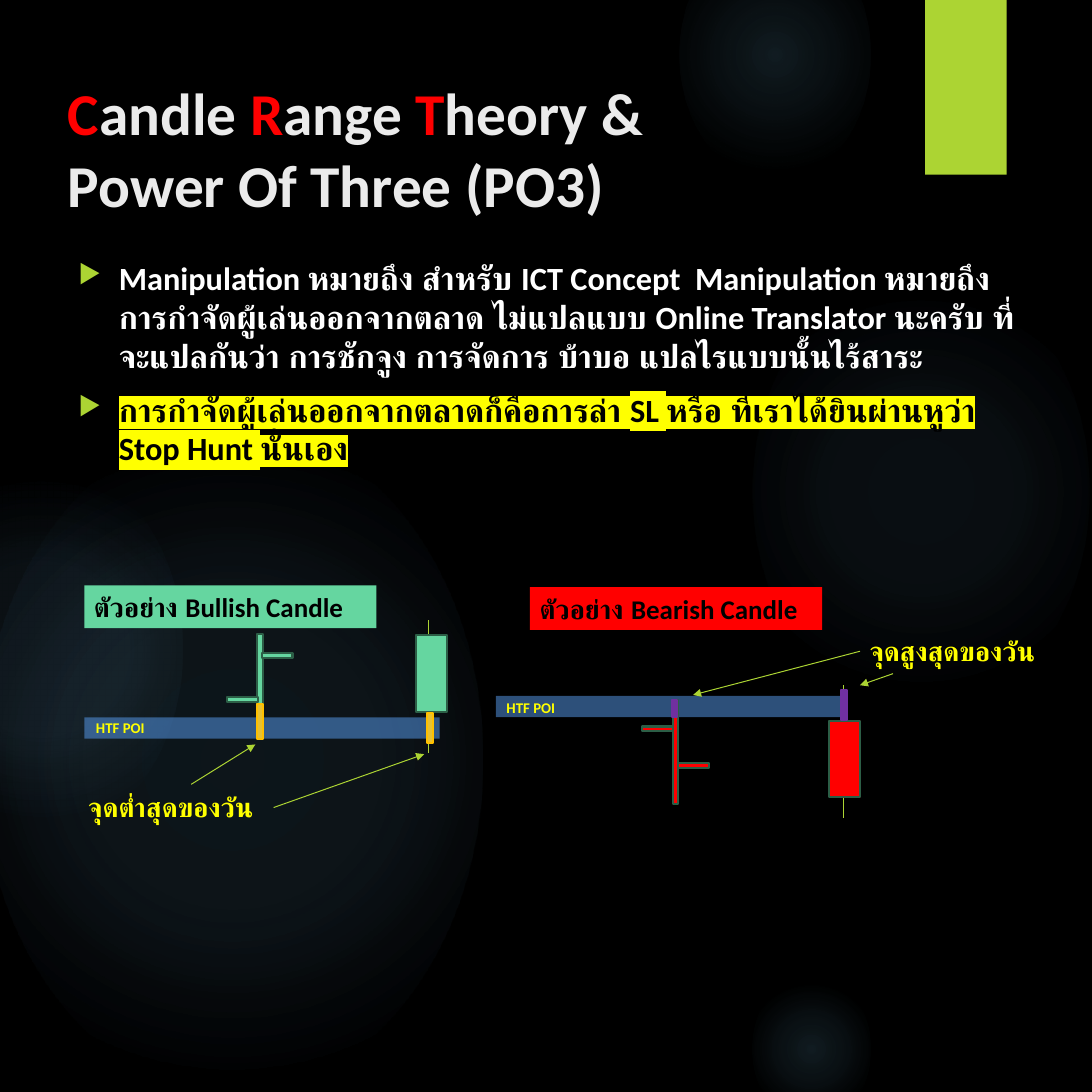
from lxml import etree
from pptx import Presentation
from pptx.dml.color import RGBColor
from pptx.enum.shapes import MSO_CONNECTOR, MSO_SHAPE
from pptx.enum.text import MSO_ANCHOR, PP_ALIGN
from pptx.oxml.ns import qn
from pptx.util import Pt

RECT, OVAL = MSO_SHAPE.RECTANGLE, MSO_SHAPE.OVAL
LINE = MSO_CONNECTOR.STRAIGHT
LEFT, TOP, MIDDLE = PP_ALIGN.LEFT, MSO_ANCHOR.TOP, MSO_ANCHOR.MIDDLE
FONT = "Calibri"
SIDE = 810

HUES = {
    "black": "000000", "white": "FFFFFF", "pale": "EBEBEB", "red": "FF0000",
    "lime": "ACD433", "glow": "7AC4F0", "blue": "5AA0F5", "mint": "65D6A0",
    "moss": "2C5E46", "gold": "E6C133", "amber": "FFC000",
    "plum": "7030A0", "yellow": "FFFF00",
}

GLOWS = [
    ((558, 198, 249.8, 332.6), ((0, 7), (36, 6), (69, 0))),
    ((504, -54, 141.8, 188.6), ((0, 14), (36, 7), (73, 0))),
    ((558, 720, 87.8, 116.6), ((0, 14), (36, 7), (66, 0))),
    ((-13.7, 315.4, 371.5, 495.4), ((0, 11), (36, 10), (75, 0))),
    ((-74.2, 342, 209.5, 279.4), ((0, 8), (36, 8), (72, 0))),
]
TITLE = [
    [("C", "red"), ("andle ", "pale"), ("R", "red"), ("ange ", "pale"),
     ("T", "red"), ("heory &", "pale")],
    [("Power Of Three (PO3)", "pale")],
]
BODY = [
    ("Manipulation หมายถึง สำหรับ ICT Concept  Manipulation หมายถึง "
     "การกำจัดผู้เล่นออกจากตลาด ไม่แปลแบบ Online Translator นะครับ "
     "ที่จะแปลกันว่า การชักจูง การจัดการ บ้าบอ แปลไรแบบนั้นไร้สาระ", "white", None),
    ("การกำจัดผู้เล่นออกจากตลาดก็คือการล่า SL หรือ ที่เราได้ยินผ่านหูว่า "
     "Stop Hunt นั่นเอง", "black", "yellow"),
]
ZONES = [(62.6, 532.1, 263.5, 15.8), (367.9, 516.2, 259.9, 15.8)]
TAGS = [
    ("ตัวอย่าง Bullish Candle", (62.6, 434.2, 216.7, 31.7), "mint"),
    ("ตัวอย่าง Bearish Candle", (393.1, 435.6, 216.7, 31.7), "red"),
]
NOTES = [
    ("จุดต่ำสุดของวัน", (58.3, 583.2, 145.4, 31.7), 20),
    ("จุดสูงสุดของวัน", (637.9, 467.3, 145.4, 31.7), 20),
    ("HTF POI", (64.1, 529.9, 61.9, 20.9), 11),
    ("HTF POI", (368.6, 514.8, 61.9, 20.9), 11),
]
STEM, TICK, CANDLE = (4.3, 77), (23, 3.6), (23, 56.9)
BARS = {
    "mint": [((190.8, 470.2), STEM), ((168.1, 517.3), TICK),
             ((194, 484.2), TICK), ((308.5, 471.2), CANDLE)],
    "red": [((499, 519.1), STEM), ((502.9, 566.3), TICK),
            ((476.3, 538.9), TICK), ((615.2, 534.6), CANDLE)],
}
MARKS = [
    ((190.8, 522, 4.3, 25.9), "gold", "amber"),
    ((316.8, 529.2, 4.3, 22.3), "gold", "amber"),
    ((624.2, 511.9, 4.3, 22.3), "plum", "plum"),
    ((498.2, 519.1, 4.3, 13), "plum", "plum"),
]
WICKS = [(318.2, 460.1, 318.2, 558.7), (625.7, 508.3, 625.7, 607)]
ARROWS = [
    (203, 599, 314.6, 559.4), (141.8, 581.8, 189.4, 552.2),
    (662.4, 499.7, 637.9, 508.3), (637.9, 483.1, 514.1, 515.5),
]


def hue(name):
    return RGBColor.from_string(HUES[name])


def node(root, tag, **attrs):
    return etree.SubElement(root, qn("a:" + tag), attrs)


def shape(box, fill, edge=None, kind=RECT):
    item = slide.shapes.add_shape(kind, *map(Pt, box))
    item.shadow.inherit = False
    item.fill.solid()
    item.fill.fore_color.rgb = hue(fill)
    if edge:
        item.line.color.rgb = hue(edge)
        item.line.width = Pt(1.5)
    else:
        item.line.fill.background()
    return item


def fade(item, alpha):
    solid = item.fill._xPr.find(qn("a:solidFill"))
    node(solid[0], "alpha", val=str(alpha * 1000))


def glow(box, stops):
    item = shape(box, "glow", kind=OVAL)
    solid = item.fill._xPr.find(qn("a:solidFill"))
    grad = etree.Element(qn("a:gradFill"), rotWithShape="1")
    steps = node(grad, "gsLst")
    for pos, alpha in stops:
        stop = node(steps, "gs", pos=str(pos * 1000))
        tint = node(stop, "srgbClr", val=HUES["glow"])
        node(tint, "alpha", val=str(alpha * 1000))
    ring = node(grad, "path", path="circle")
    node(ring, "fillToRect", l="50000", t="50000", r="50000", b="50000")
    solid.getparent().replace(solid, grad)


def line(ends, arrow=False):
    item = slide.shapes.add_connector(LINE, *map(Pt, ends))
    item.line.color.rgb = hue("lime")
    item.line.width = Pt(0.75)
    if arrow:
        node(item.line._get_or_add_ln(), "tailEnd", type="triangle")
    node(item._element.spPr, "effectLst")


def style(run, size, color):
    run.font.name = FONT
    run.font.size = Pt(size)
    run.font.bold = True
    run.font.color.rgb = hue(color)


def frame(box):
    text = slide.shapes.add_textbox(*map(Pt, box)).text_frame
    text.word_wrap = True
    text.vertical_anchor = TOP
    return text


def label(text, words, size, color):
    text.text = words
    text.word_wrap = True
    par = text.paragraphs[0]
    par.alignment = LEFT
    style(par.runs[0], size, color)


def bullet(par):
    props = par._p.get_or_add_pPr()
    props.set("marL", str(Pt(30)))
    props.set("indent", str(-Pt(30)))
    node(node(props, "buClr"), "srgbClr", val=HUES["lime"])
    node(props, "buSzPct", val="80000")
    node(props, "buChar", char="▶")


def mark(run, color):
    band = etree.Element(qn("a:highlight"))
    node(band, "srgbClr", val=HUES[color])
    run._r.rPr.find(qn("a:solidFill")).addnext(band)


deck = Presentation()
deck.slide_width = deck.slide_height = Pt(SIDE)
slide = deck.slides.add_slide(deck.slide_layouts[6])
slide.background.fill.solid()
slide.background.fill.fore_color.rgb = hue("black")

for box, stops in GLOWS:
    glow(box, stops)
shape((686.2, 0, 60.5, 129.6), "lime")
for box in ZONES:
    fade(shape(box, "blue"), 50)

head = frame((43.2, 53.3, 625, 165.6)).paragraphs[0]
for row, parts in enumerate(TITLE):
    if row:
        head.add_line_break()
    for words, color in parts:
        run = head.add_run()
        run.text = words
        style(run, 44, color)

body = frame((51.1, 187.9, 708.5, 495.4))
body.text = "\n".join(words for words, _, _ in BODY)
for row, (par, (_, color, band)) in enumerate(zip(body.paragraphs, BODY)):
    bullet(par)
    if row:
        par.space_before = Pt(11.2)
    style(par.runs[0], 24, color)
    if band:
        mark(par.runs[0], band)

for ends in WICKS:
    line(ends)
for color, bars in BARS.items():
    for spot, size in bars:
        shape(spot + size, color, "moss")
for box, color, edge in MARKS:
    shape(box, color, edge)
for ends in ARROWS:
    line(ends, True)
for words, box, color in TAGS:
    tag = shape(box, color).text_frame
    tag.vertical_anchor = MIDDLE
    label(tag, words, 20, "black")
for words, box, size in NOTES:
    label(frame(box), words, size, "yellow")

deck.save("out.pptx")
